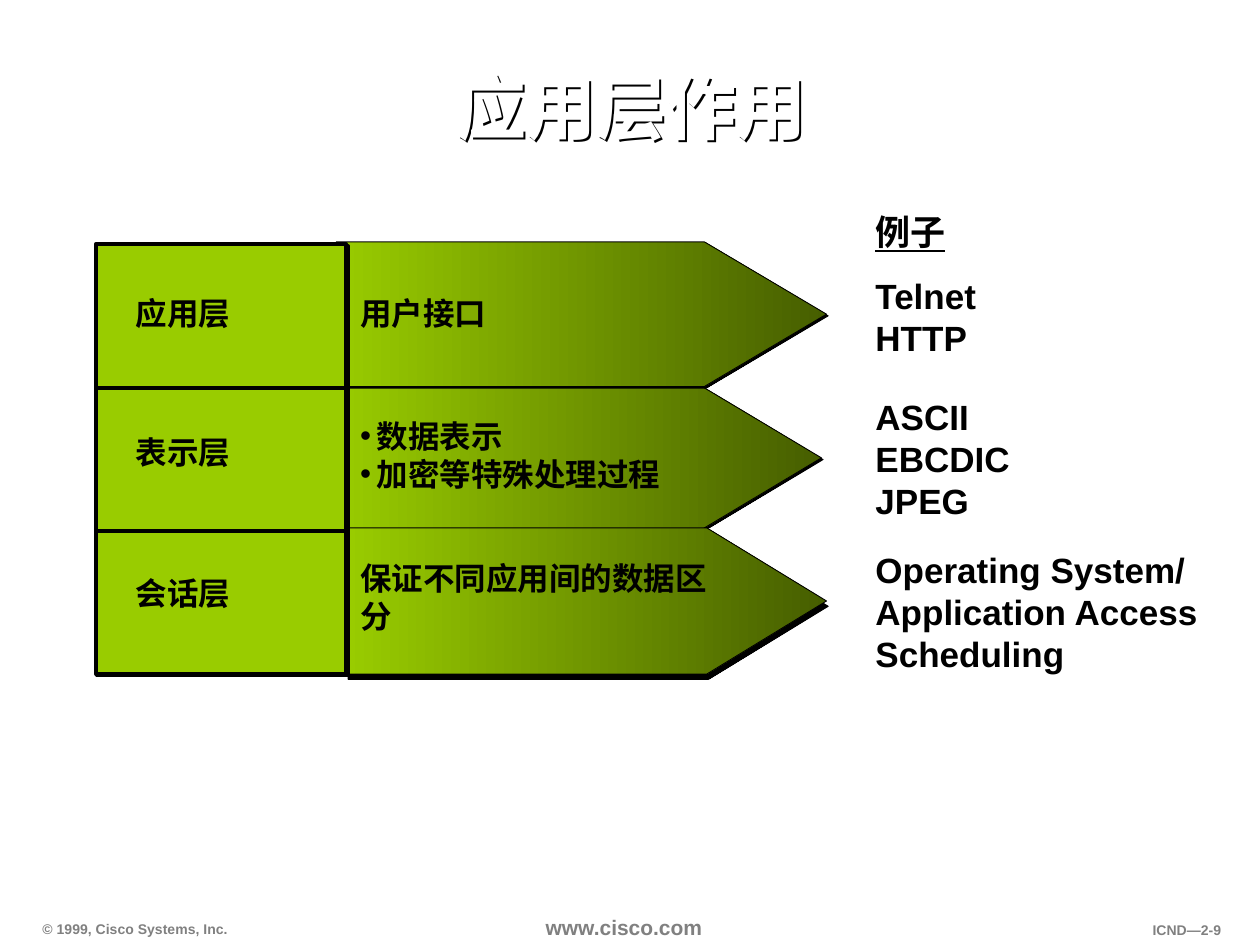
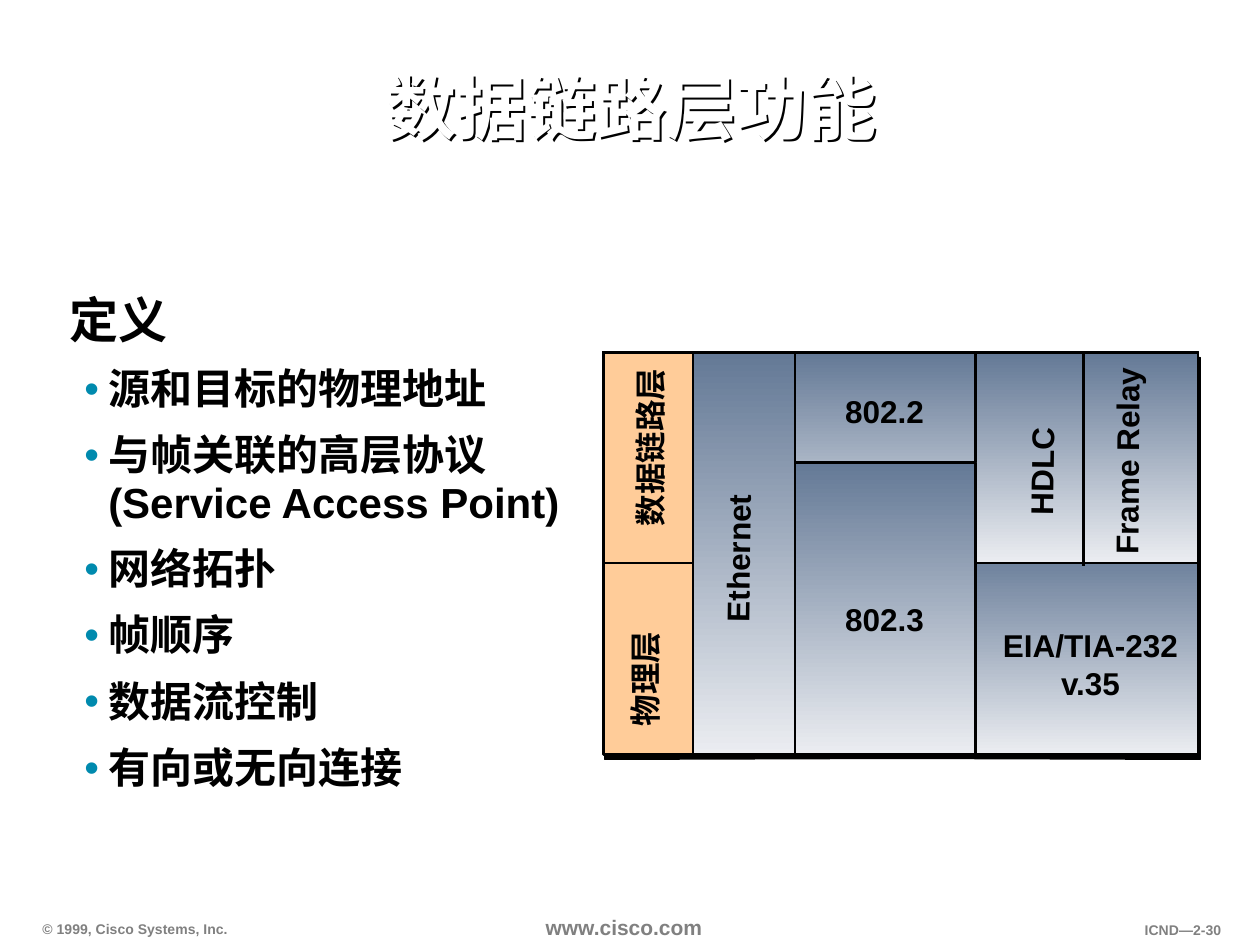
from dataclasses import dataclass

from lxml import etree
from pptx import Presentation
from pptx.dml.color import RGBColor
from pptx.enum import shapes, text
from pptx.oxml.ns import qn
from pptx.slide import Slide
from pptx.util import Pt

BLACK = RGBColor(0x00, 0x00, 0x00)
WHITE = RGBColor(0xFF, 0xFF, 0xFF)
GREY = RGBColor(0x80, 0x80, 0x80)
LIME = RGBColor(0x99, 0xCC, 0x00)
OLIVE = RGBColor(0x46, 0x5E, 0x00)
PEACH = RGBColor(0xFF, 0xCC, 0x99)
STEEL = RGBColor(0x64, 0x79, 0x96)
MIST = RGBColor(0xEB, 0xED, 0xF1)
TEAL = RGBColor(0x00, 0x8A, 0xAE)

LATIN = "Arial"
CJK = "Noto Sans CJK SC"
LEFT, CENTER, RIGHT = text.PP_ALIGN.LEFT, text.PP_ALIGN.CENTER, text.PP_ALIGN.RIGHT
TOP, MIDDLE, BOTTOM = text.MSO_ANCHOR.TOP, text.MSO_ANCHOR.MIDDLE, text.MSO_ANCHOR.BOTTOM


@dataclass(frozen=True)
class Frame:
    left: float
    top: float
    width: float
    height: float

    def lengths(self) -> tuple[Pt, ...]:
        return tuple(Pt(n) for n in (self.left, self.top, self.width, self.height))


@dataclass(frozen=True)
class Bullet:
    margin: float
    hang: float
    color: RGBColor


@dataclass(frozen=True)
class Style:
    size: float = 18
    color: RGBColor = BLACK
    font: str = LATIN
    align: text.PP_ALIGN = LEFT
    underline: bool = False
    spacing: float = 1.0
    before: float = 0
    bullet: Bullet | None = None


@dataclass(frozen=True)
class Arrow:
    left: float
    top: float
    shoulder: float
    tip: float
    height: float
    shadow: tuple[float, float]


@dataclass(frozen=True)
class Layer:
    name: str
    name_top: float
    role: list[str]
    role_frame: Frame
    role_style: Style
    examples: list[str]
    examples_top: float
    examples_height: float
    arrow: Arrow


@dataclass(frozen=True)
class Cell:
    frame: Frame
    fill: tuple[RGBColor, ...]
    line: float = 1.5


@dataclass(frozen=True)
class Label:
    lines: list[str]
    frame: Frame
    rotation: float = 0


FINE_SHADOW = (1.4, 45)
DEEP_SHADOW = (3.2, 72)
DOT = Bullet(9.4, 9.4, BLACK)
NOTE = Style(20)
STEEL_FADE = (STEEL, MIST)

LAYERS = [
    Layer("应用层", 164.2, ["用户接口"], Frame(198.7, 164.2, 252.7, 28.8), Style(),
          ["Telnet", "HTTP"], 153.4, 55.4,
          Arrow(192.2, 138.2, 402.5, 472.3, 82.7, FINE_SHADOW)),
    Layer("表示层", 244.1, ["数据表示", "加密等特殊处理过程"],
          Frame(198.7, 234.7, 220.3, 50.4), Style(bullet=DOT),
          ["ASCII", "EBCDIC", "JPEG"], 222.5, 79.2,
          Arrow(192.2, 220.3, 400.3, 469.4, 82.7, FINE_SHADOW)),
    Layer("会话层", 324.7, ["保证不同应用间的数据区分"],
          Frame(198.7, 316.1, 225.4, 50.4), Style(),
          ["Operating System/", "Application Access", "Scheduling"], 309.6, 79.2,
          Arrow(198, 301.7, 403.9, 472.3, 83.5, DEEP_SHADOW)),
]
LAYER_LEFT, LAYER_TOP, LAYER_WIDTH, LAYER_PITCH = 54.7, 139.7, 143.3, 81.8

PROTOCOL_CELLS = [
    Cell(Frame(396, 201.6, 58.3, 229.7), STEEL_FADE),
    Cell(Frame(546.5, 311.8, 138.2, 119.5), STEEL_FADE),
    Cell(Frame(345, 201.6, 51, 120.2), (PEACH,)),
    Cell(Frame(345, 321.8, 51, 109.5), (PEACH,)),
    Cell(Frame(454.3, 201.6, 230.4, 120.2), STEEL_FADE),
    Cell(Frame(454.3, 264.2, 103, 167.1), STEEL_FADE),
]
PROTOCOL_LABELS = [
    Label(["数据链路层"], Frame(319, 241.2, 104.4, 28.8), 270),
    Label(["物理层"], Frame(334.1, 373.7, 68.4, 28.8), 270),
    Label(["Ethernet"], Frame(378, 304.6, 87.1, 28.8), 270.8),
    Label(["Frame Relay"], Frame(583.2, 249.1, 121, 28.8), 270.3),
    Label(["HDLC"], Frame(563, 254.9, 64.1, 28.8), 270.8),
    Label(["802.2"], Frame(475.9, 220.3, 59, 28.8)),
    Label(["802.3"], Frame(475.9, 339.1, 59, 28.8)),
    Label(["EIA/TIA-232", "v.35"], Frame(565.9, 354.2, 114.5, 50.4)),
]
FUNCTIONS = ["源和目标的物理地址", "与帧关联的高层协议\v(Service Access Point)",
             "网络拓扑", "帧顺序", "数据流控制", "有向或无向连接"]


def add_shadow(shape, distance: float, angle: float) -> None:
    """Give the shape a hard black shadow; the angle runs clockwise in degrees."""
    shape.shadow.inherit = False
    effects = shape._element.spPr.find(qn("a:effectLst"))
    shadow = etree.SubElement(effects, qn("a:outerShdw"), blurRad="0",
                              dist=str(Pt(distance)), dir=str(angle * 60000),
                              algn="tl", rotWithShape="0")
    etree.SubElement(shadow, qn("a:srgbClr"), val=str(BLACK))


def add_bullet(para, bullet: Bullet) -> None:
    properties = para._p.get_or_add_pPr()
    properties.set("marL", str(Pt(bullet.margin)))
    properties.set("indent", str(-Pt(bullet.hang)))
    color = etree.SubElement(properties, qn("a:buClr"))
    etree.SubElement(color, qn("a:srgbClr"), val=str(bullet.color))
    etree.SubElement(properties, qn("a:buFont"), typeface=LATIN)
    etree.SubElement(properties, qn("a:buChar"), char="•")


def write(para, line: str, style: Style) -> None:
    para.text = line
    if style.bullet:
        add_bullet(para, style.bullet)
    para.alignment = style.align
    para.line_spacing = style.spacing
    para.space_before = Pt(style.before)
    font = para.font
    font.name, font.size, font.bold = style.font, Pt(style.size), True
    font.color.rgb = style.color
    if style.underline:
        font.underline = True


def add_text(page: Slide, lines: list[str], frame: Frame, style: Style,
             anchor: text.MSO_ANCHOR = MIDDLE, insets: tuple[float, float] = (7.2, 3.6)):
    box = page.shapes.add_textbox(*frame.lengths())
    body = box.text_frame
    body.word_wrap = True
    body.vertical_anchor = anchor
    body.margin_left = body.margin_right = Pt(insets[0])
    body.margin_top = body.margin_bottom = Pt(insets[1])
    for index, line in enumerate(lines):
        write(body.add_paragraph() if index else body.paragraphs[0], line, style)
    return box


def paint(shape, colors: tuple[RGBColor, ...], line: float, angle: float = 270) -> None:
    """Fill with one colour, or fade between two, and draw a black outline."""
    if len(colors) == 1:
        shape.fill.solid()
        shape.fill.fore_color.rgb = colors[0]
    else:
        shape.fill.gradient()
        shape.fill.gradient_angle = angle
        for stop, color in zip(shape.fill.gradient_stops, colors):
            stop.color.rgb = color
    shape.line.color.rgb = BLACK
    shape.line.width = Pt(line)
    shape.shadow.inherit = False


def add_cell(page: Slide, cell: Cell):
    shape = page.shapes.add_shape(shapes.MSO_SHAPE.RECTANGLE, *cell.frame.lengths())
    paint(shape, cell.fill, cell.line)
    return shape


def add_arrow(page: Slide, arrow: Arrow) -> None:
    bottom = arrow.top + arrow.height
    corners = [(arrow.shoulder, arrow.top), (arrow.tip, arrow.top + arrow.height / 2),
               (arrow.shoulder, bottom), (arrow.left, bottom)]
    builder = page.shapes.build_freeform(Pt(arrow.left), Pt(arrow.top))
    builder.add_line_segments([(Pt(x), Pt(y)) for x, y in corners], close=True)
    shape = builder.convert_to_shape()
    paint(shape, (OLIVE, LIME), 0.5, angle=180)
    add_shadow(shape, *arrow.shadow)


def add_divider(page: Slide, x: float, top: float, bottom: float) -> None:
    line = page.shapes.add_connector(shapes.MSO_CONNECTOR.STRAIGHT,
                                     Pt(x), Pt(top), Pt(x), Pt(bottom))
    line.line.color.rgb = BLACK
    line.line.width = Pt(1.5)
    etree.SubElement(line._element.spPr, qn("a:effectLst"))


def add_page(deck, title: str, number: str, title_font: str = LATIN) -> Slide:
    """Add a blank slide with the shared title and footers."""
    page = deck.slides.add_slide(deck.slide_layouts[6])
    small = Style(8, GREY)
    insets = (6.3, 3)
    add_text(page, ["© 1999, Cisco Systems, Inc."], Frame(18, 522.7, 130, 15.8), small,
             BOTTOM, insets)
    add_text(page, ["www.cisco.com"], Frame(306, 519.8, 108, 20.2), Style(12, GREY),
             TOP, (5.8, 3))
    add_text(page, [number], Frame(617.8, 523.4, 86.4, 15.8),
             Style(8, GREY, align=RIGHT), TOP, insets)
    heading = add_text(page, [title], Frame(60.5, 18.7, 600.5, 90),
                       Style(40, WHITE, title_font, CENTER, spacing=0.9), MIDDLE, insets)
    add_shadow(heading, 1.8, 45)
    return page


def build_application_layers(deck) -> None:
    page = add_page(deck, "应用层作用", "ICND—2-9")
    top, middle, bottom = LAYERS
    for layer in (middle, top, bottom):
        add_arrow(page, layer.arrow)
    add_text(page, ["例子"], Frame(493.2, 116.6, 141.8, 31.7), Style(20, underline=True))
    for index, layer in enumerate(LAYERS):
        frame = Frame(LAYER_LEFT, LAYER_TOP + index * LAYER_PITCH, LAYER_WIDTH, LAYER_PITCH)
        add_shadow(add_cell(page, Cell(frame, (LIME,), 2.25)), *FINE_SHADOW)
        add_text(page, [layer.name], Frame(70.6, layer.name_top, 83.5, 28.8), Style(), TOP)
        add_text(page, layer.role, layer.role_frame, layer.role_style)
        add_text(page, layer.examples,
                 Frame(493.2, layer.examples_top, 204.5, layer.examples_height), NOTE)


def build_data_link_functions(deck) -> None:
    page = add_page(deck, "数据链路层功能", "ICND—2-30", CJK)
    backing = add_cell(page, Cell(Frame(344.2, 200.9, 340.6, 229.7), (WHITE,), 0.25))
    add_shadow(backing, *DEEP_SHADOW)
    definition = add_text(page, ["定义"], Frame(39.6, 173.5, 637.9, 279.4),
                          Style(28, spacing=0.75), insets=(0, 0))
    item = Style(24, spacing=0.95, before=10.5, bullet=Bullet(22.3, 13.7, TEAL))
    for function in FUNCTIONS:
        para = definition.text_frame.add_paragraph()
        para.level = 1
        write(para, function, item)
    for cell in PROTOCOL_CELLS:
        add_cell(page, cell)
    add_divider(page, 619.2, 201.6, 323.3)
    add_divider(page, 557.3, 200.9, 264.2)
    for label in PROTOCOL_LABELS:
        box = add_text(page, label.lines, label.frame, Style(align=CENTER), TOP, (0, 3.6))
        box.rotation = label.rotation


def main() -> None:
    deck = Presentation()
    deck.slide_width, deck.slide_height = Pt(720), Pt(540)
    build_application_layers(deck)
    build_data_link_functions(deck)
    deck.save("out.pptx")


if __name__ == "__main__":
    main()
